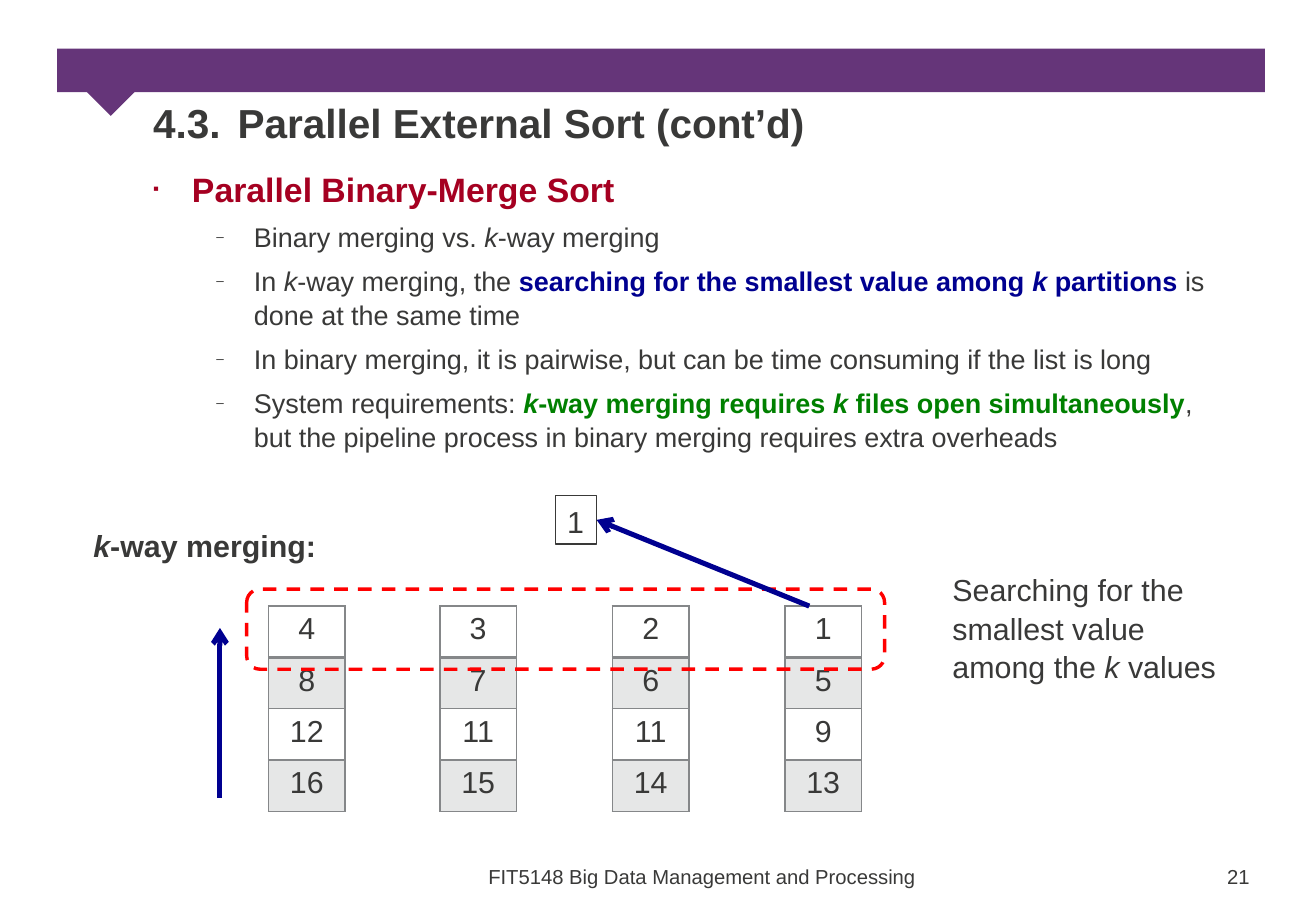
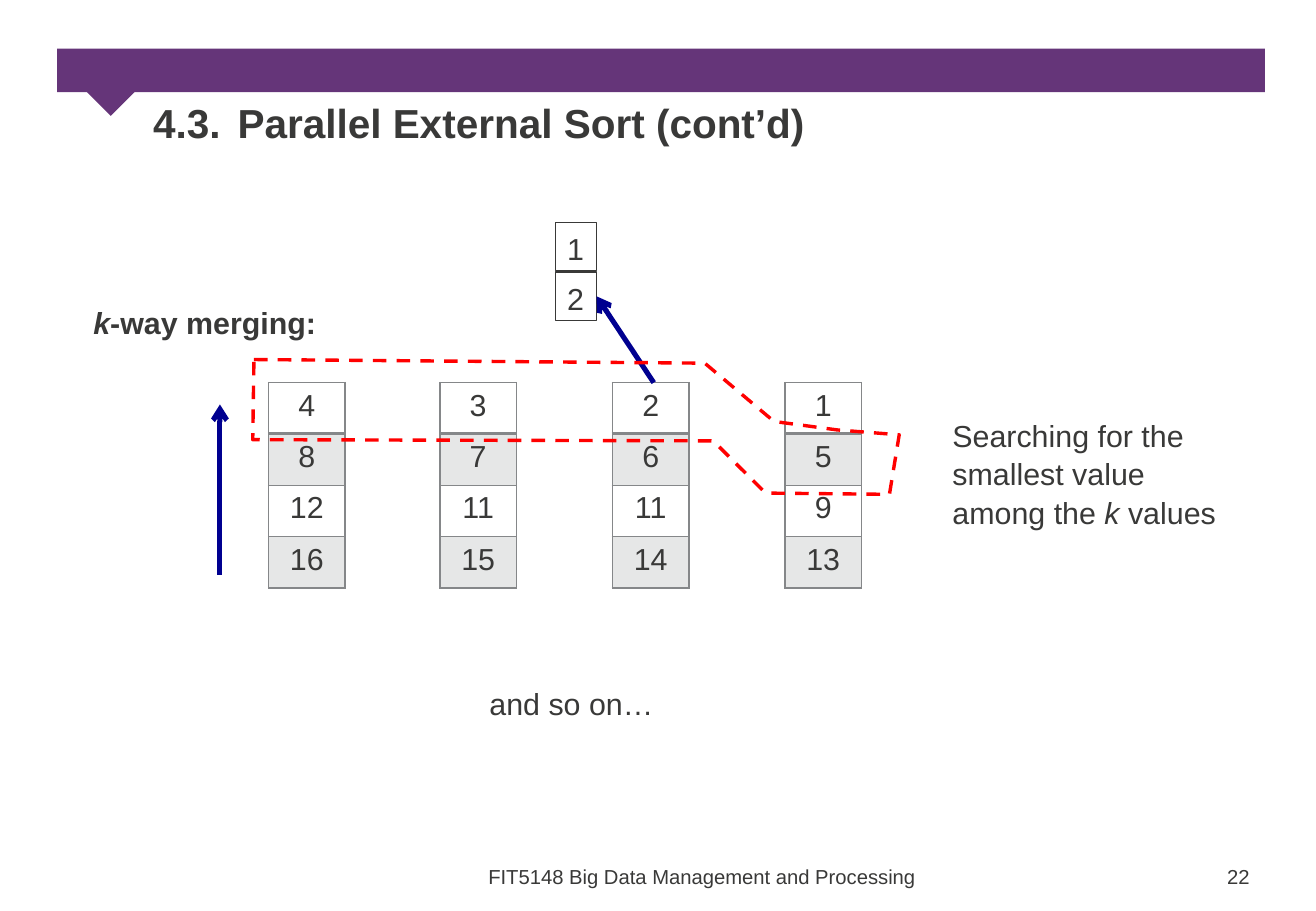
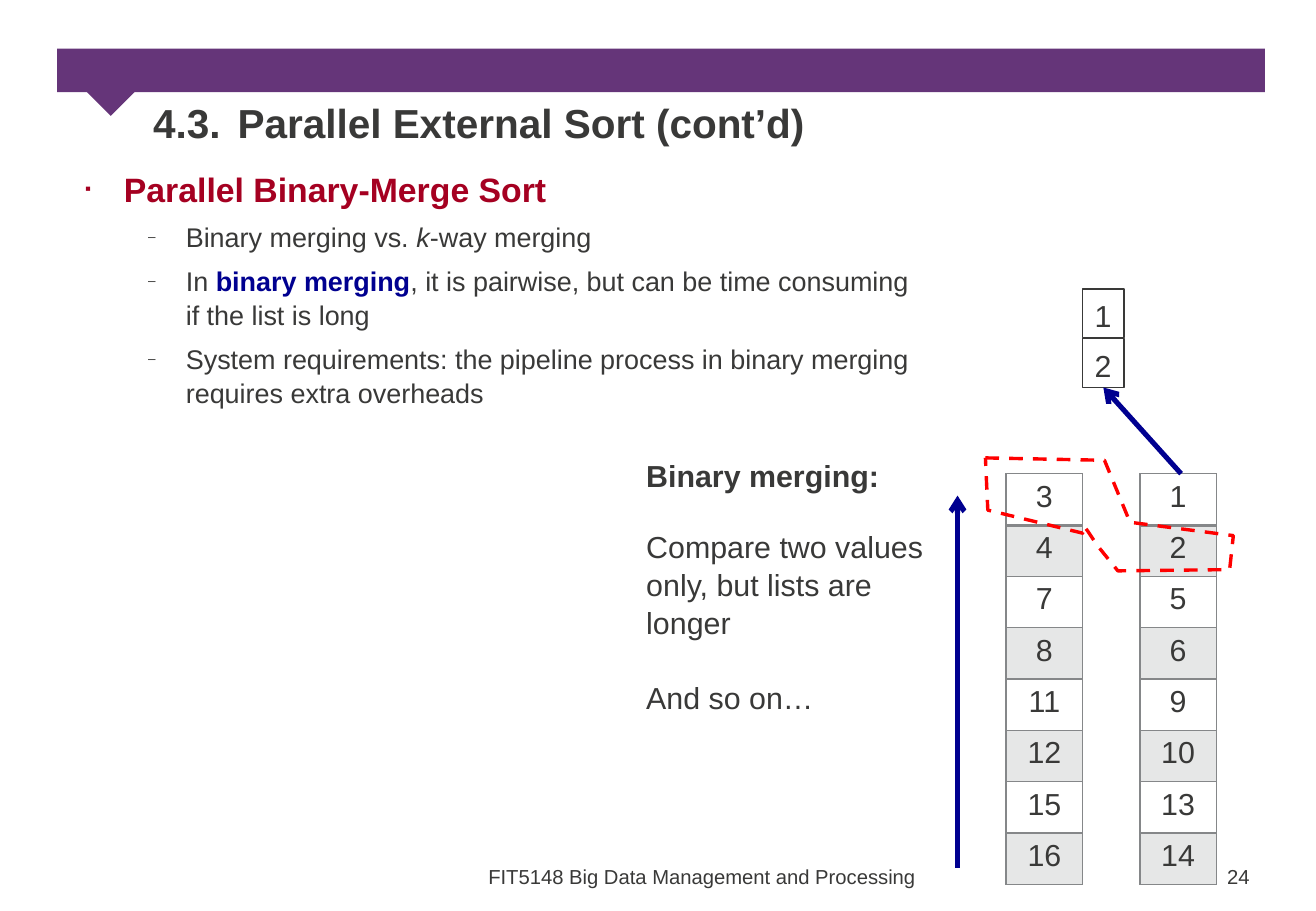
from lxml.etree import SubElement
from pptx import Presentation
from pptx.dml.color import RGBColor
from pptx.enum.dml import MSO_LINE
from pptx.enum.shapes import MSO_CONNECTOR, MSO_SHAPE
from pptx.enum.text import MSO_ANCHOR, PP_ALIGN
from pptx.oxml.ns import qn
from pptx.util import Pt

PX = 9144  # EMU in one px, a hundredth of an inch

INK = RGBColor(0x39, 0x39, 0x38)
PURPLE = RGBColor(0x65, 0x35, 0x79)
CRIMSON = RGBColor(0xA5, 0x00, 0x21)
NAVY = RGBColor(0x00, 0x00, 0x90)
GREEN = RGBColor(0x00, 0x80, 0x00)
RED = RGBColor(0xFF, 0x00, 0x00)
GRID = RGBColor(0x85, 0x87, 0x89)
STRIPE = RGBColor(0xE6, 0xE7, 0xE7)

BOLD = {"bold": True}
ITALIC = {"italic": True}
BOLD_ITALIC = BOLD | ITALIC
BLUE = BOLD | {"color": NAVY}
LIME = BOLD | {"color": GREEN}
HEADING = BOLD | {"size": 20, "color": CRIMSON}

FOOTER = "FIT5148 Big Data Management and Processing"
TITLE = [("4.3.", BOLD), (" ", BOLD | {"size": 36}),
         ("Parallel External Sort (cont’d)", BOLD)]
K_WAY = [("k", BOLD_ITALIC), ("-way merging:", BOLD)]
SEARCHING = ["Searching for the smallest value among the ", ("k", ITALIC), " values"]
TOPIC = [("Parallel Binary-Merge Sort", HEADING)]
VERSUS = ["Binary merging vs. ", ("k", ITALIC), "-way merging"]

K_LISTS = [(4, 8, 12, 16), (3, 7, 11, 15), (2, 6, 11, 14), (1, 5, 9, 13)]
BINARY_LISTS = [(3, 4, 7, 8, 11, 12, 15, 16), (1, 2, 5, 6, 9, 10, 13, 14)]


def px(*lengths):
    return [length * PX for length in lengths]


class Deck:
    """Holds the presentation, its style and the slide being built."""

    font = "Arial"
    line_spacing = 1.05

    def __init__(self):
        self.presentation = Presentation()
        self.presentation.slide_width, self.presentation.slide_height = px(1083, 750)
        self.shapes = None

    def new_slide(self, number):
        layout = self.presentation.slide_layouts[6]
        self.shapes = self.presentation.slides.add_slide(layout).shapes
        self.shape(47, 40, 994, 36, fill=PURPLE)
        self.shape(78, 50, 32, 40, fill=PURPLE).rotation = 45
        self.text(1000, 706, 41, 30, [[str(number)]], size=12)
        self.text(392, 706, 376, 30, [[FOOTER]], size=12)
        self.text(126, 58, 921, 125, [TITLE], size=24, inset=0, spacing=1.1)

    def add_runs(self, paragraph, runs, size, spacing=None):
        """Fill a paragraph; a run is a string or a (string, format) pair."""
        paragraph.line_spacing = spacing or self.line_spacing
        for run_text in runs:
            text, changes = (run_text, {}) if isinstance(run_text, str) else run_text
            run = paragraph.add_run()
            run.text = text
            values = {"name": self.font, "size": size, "color": INK} | changes
            run.font.color.rgb = values.pop("color")
            values["size"] = Pt(values["size"])
            for name, value in values.items():
                setattr(run.font, name, value)

    def text(self, left, top, width, height, paragraphs, size=18, inset=None,
             spacing=None, gap=0):
        box = self.shapes.add_textbox(*px(left, top, width, height))
        frame = box.text_frame
        frame.word_wrap = True
        if inset is not None:
            for side in ("left", "top", "right", "bottom"):
                setattr(frame, f"margin_{side}", inset * PX)
        for index, runs in enumerate(paragraphs):
            paragraph = frame.add_paragraph() if index else frame.paragraphs[0]
            paragraph.space_before = Pt(gap if index else 0)
            self.add_runs(paragraph, runs, size, spacing)
        return frame

    def bullets(self, left, width, points):
        """Add a heading with a square bullet and dashed points under it."""
        frame = self.text(left, 137, width, 450, [TOPIC, *points], size=16, inset=0)
        for index, paragraph in enumerate(frame.paragraphs):
            margin, hang, mark = (83, 31, "–") if index else (32, 32, "▪")
            paragraph.level = min(index, 1)
            paragraph.space_after = Pt(6)
            properties = paragraph._p.get_or_add_pPr()
            properties.set("marL", str(margin * PX))
            properties.set("indent", str(-hang * PX))
            SubElement(properties, qn("a:buSzPct"), val="50000")
            SubElement(properties, qn("a:buFont"), typeface=self.font)
            SubElement(properties, qn("a:buChar"), char=mark)

    def shape(self, left, top, width, height, kind=MSO_SHAPE.RECTANGLE, fill=None):
        shape = self.shapes.add_shape(kind, *px(left, top, width, height))
        shape.shadow.inherit = False
        if fill is None:
            shape.fill.background()
        else:
            shape.fill.solid()
            shape.fill.fore_color.rgb = fill
        shape.line.fill.background()
        return shape

    def outline(self, shape, color, weight, dash=None):
        shape.line.color.rgb = color
        shape.line.width = Pt(weight)
        shape.line.dash_style = dash

    def merged_value(self, left, top, value):
        square = self.shape(left, top, 34, 40)
        self.outline(square, INK, 0.75)
        frame = square.text_frame
        frame.word_wrap = False
        frame.vertical_anchor = MSO_ANCHOR.TOP
        frame.paragraphs[0].alignment = PP_ALIGN.LEFT
        self.add_runs(frame.paragraphs[0], [str(value)], 18)
        return square

    def arrow(self, head, tail, target=None, side=0):
        """Draw an arrow that points at head, joined to a side of target if given."""
        line = self.shapes.add_connector(MSO_CONNECTOR.STRAIGHT, *px(*head, *tail))
        if target is not None:
            line.begin_connect(target, side)
        self.outline(line, NAVY, 3)
        SubElement(line.line._get_or_add_ln(), qn("a:headEnd"), type="arrow")
        SubElement(line._element.spPr, qn("a:effectLst"))

    def dashed_round(self, left, top, width, height):
        frame = self.shape(left, top, width, height, MSO_SHAPE.ROUNDED_RECTANGLE)
        self.outline(frame, RED, 2, MSO_LINE.DASH)

    def dashed_outline(self, points):
        builder = self.shapes.build_freeform(*points[0], scale=PX)
        builder.add_line_segments(points[1:], close=True)
        shape = builder.convert_to_shape()
        shape.shadow.inherit = False
        shape.fill.background()
        self.outline(shape, RED, 2, MSO_LINE.DASH)

    def border(self, cell, weights):
        properties = cell._tc.get_or_add_tcPr()
        for side, weight in weights.items():
            line = SubElement(properties, qn(f"a:ln{side}"), w=str(Pt(weight)))
            fill = SubElement(line, qn("a:solidFill"))
            SubElement(fill, qn("a:srgbClr"), val=str(GRID))

    def sorted_list(self, left, top, values):
        height = len(values) * 169 // 4
        table = self.shapes.add_table(len(values), 1, *px(left, top, 63, height)).table
        table.first_row = table.horz_banding = False
        for row, value in enumerate(values):
            cell = table.cell(row, 0)
            self.border(cell, {"L": 1, "R": 1, "T": 2 if row == 1 else 1,
                               "B": 2 if row == 0 else 1})
            if row % 2:
                cell.fill.solid()
                cell.fill.fore_color.rgb = STRIPE
            else:
                cell.fill.background()
            paragraph = cell.text_frame.paragraphs[0]
            paragraph.alignment = PP_ALIGN.CENTER
            self.add_runs(paragraph, [str(value)], 18, spacing=1.0)

    def k_way_lists(self, top):
        """Draw the four sorted lists with their label and upward arrow."""
        for column, values in enumerate(K_LISTS):
            self.sorted_list(221 + column * 425 // 3, top, values)
        self.arrow((181, top + 18), (181, top + 158))
        self.text(67, top - 71, 207, 40, [K_WAY])


def k_way_start(deck):
    deck.new_slide(21)
    deck.bullets(126, 875, [
        VERSUS,
        ["In ", ("k", ITALIC), "-way merging, the ",
         ("searching for the smallest value among ", BLUE), ("k", BLUE | ITALIC),
         (" partitions ", BLUE), "is done at the same time"],
        ["In binary merging, it is pairwise, but can be time consuming "
         "if the list is long"],
        ["System requirements: ", ("k", LIME | ITALIC), ("-way merging requires ", LIME),
         ("k", LIME | ITALIC), (" files open simultaneously", LIME),
         ", but the pipeline process in binary merging requires extra overheads"],
    ])
    deck.k_way_lists(499)
    deck.dashed_round(203, 485, 525, 66)
    deck.text(774, 464, 250, 101, [SEARCHING])
    first = deck.merged_value(457, 408, 1)
    deck.arrow((491, 428), (666, 499), first, 3)


def k_way_next(deck):
    deck.new_slide(22)
    deck.k_way_lists(315)
    deck.text(774, 337, 250, 101, [SEARCHING])
    second = deck.merged_value(457, 224, 2)
    deck.arrow((491, 244), (538, 315), second, 3)
    deck.merged_value(457, 183, 1)
    deck.dashed_outline([(209, 296), (580, 299), (637, 347), (689, 354), (740, 358),
                         (732, 407), (630, 406), (587, 363), (208, 362)])
    deck.text(393, 558, 224, 40, [["and so on…"]])


def binary_merging(deck):
    deck.new_slide(24)
    deck.bullets(70, 690, [
        VERSUS,
        ["In ", ("binary merging", BLUE),
         ", it is pairwise, but can be time consuming if the list is long"],
        ["System requirements: the pipeline process in binary merging "
         "requires extra overheads"],
    ])
    for column, values in enumerate(BINARY_LISTS):
        deck.sorted_list(828 + column * 110, 390, values)
    deck.arrow((788, 408), (788, 715))
    deck.text(522, 370, 214, 40, [[("Binary merging:", BOLD)]])
    deck.text(522, 428, 250, 162,
              [["Compare two values only, but lists are longer"], ["And so on…"]],
              gap=21.7)
    second = deck.merged_value(891, 279, 2)
    deck.arrow((908, 319), (972, 390), second, 2)
    deck.merged_value(891, 238, 1)
    deck.dashed_outline([(811, 377), (909, 379), (930, 430), (1015, 441), (1012, 469),
                         (920, 470), (903, 449), (895, 437), (892, 433), (891, 439),
                         (813, 420)])


def main():
    deck = Deck()
    for build in (k_way_start, k_way_next, binary_merging):
        build(deck)
    deck.presentation.save("out.pptx")


if __name__ == "__main__":
    main()
